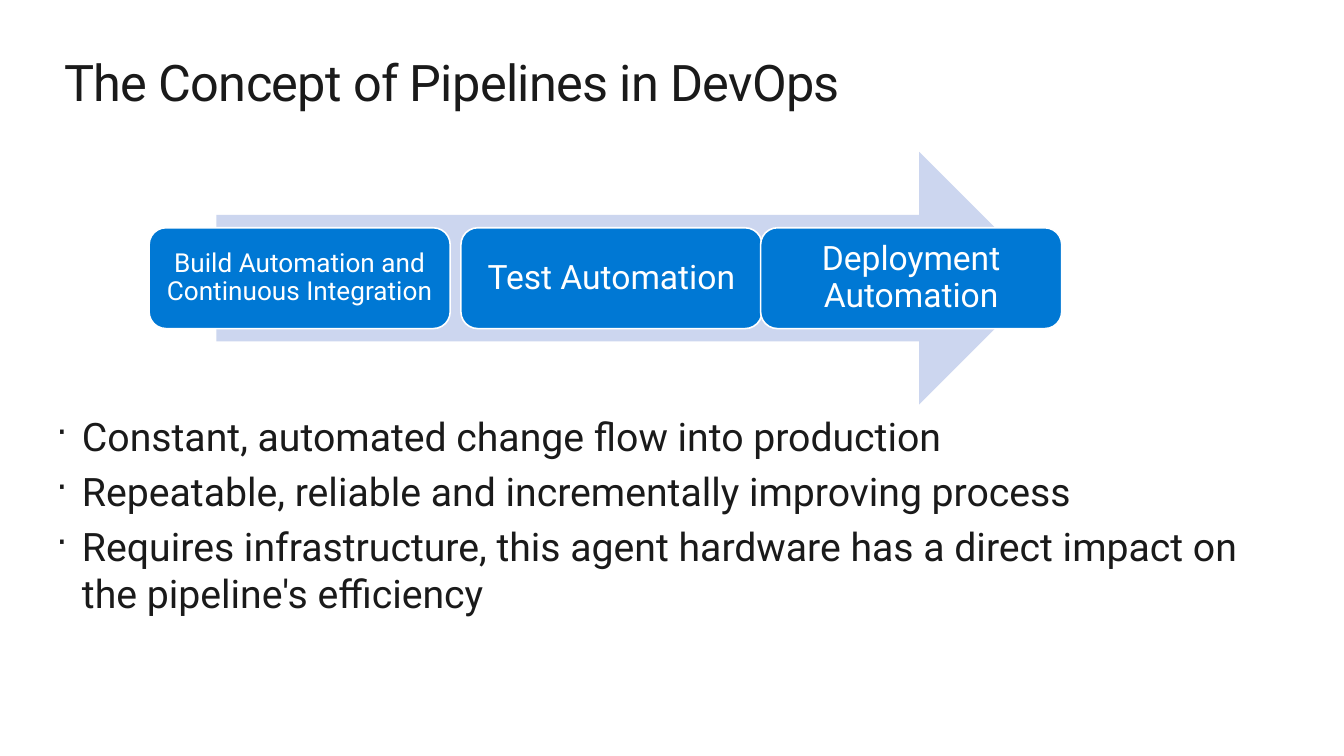
from lxml import etree
from pptx import Presentation
from pptx.dml.color import RGBColor
from pptx.enum.shapes import MSO_SHAPE as SHAPE
from pptx.enum.text import MSO_ANCHOR as ANCHOR, PP_ALIGN as ALIGN
from pptx.oxml.ns import qn
from pptx.util import Inches, Pt

COLORS = {"ink": "1A1A1A", "blue": "0078D4", "pale": "CCD6EF", "white": "FFFFFF"}
FONT = "Roboto"


def rgb(name):
    return RGBColor.from_string(COLORS[name])


def write(p, text, size, color="ink", align=ALIGN.LEFT, line=1.0, before=0, tracking=0):
    p.alignment = align
    p.line_spacing = line
    p.space_before = Pt(before)
    r = p.add_run()
    r.text = text
    r.font.name = FONT
    r.font.size = Pt(size)
    r.font.color.rgb = rgb(color)
    if tracking:
        r.font._element.set("spc", str(round(tracking * 100)))


def set_margins(tf, inset):
    tf.margin_left = tf.margin_right = Inches(inset)
    tf.margin_top = tf.margin_bottom = Inches(inset)


def add_box(s, x, y, w, h):
    tf = s.shapes.add_textbox(Inches(x), Inches(y), Inches(w), Inches(h)).text_frame
    tf.word_wrap = True
    set_margins(tf, 0)
    return tf


def add_shape(s, kind, x, y, w, h, fill):
    sp = s.shapes.add_shape(kind, Inches(x), Inches(y), Inches(w), Inches(h))
    sp.shadow.inherit = False
    sp.fill.solid()
    sp.fill.fore_color.rgb = rgb(fill)
    sp.line.fill.background()
    return sp


def add_bullet(p, indent):
    pPr = p._p.get_or_add_pPr()
    pPr.set("marL", str(Inches(indent)))
    pPr.set("indent", str(-Inches(indent)))
    etree.SubElement(pPr, qn("a:buSzPct")).set("val", "90000")
    etree.SubElement(pPr, qn("a:buChar")).set("char", "·")


def build_title(s, x, y, w, h):
    tf = add_box(s, x, y, w, h)
    write(tf.paragraphs[0], "The Concept of Pipelines in DevOps", 27, tracking=-0.37)


def build_pipeline(s, x, y, w, h):
    # Arrow behind the stages
    add_shape(s, SHAPE.RIGHT_ARROW, x + 0.5, y, w - 0.62, h, "pale")

    # Stages: offset, label, text size, inset
    stage_w, stage_h = 2.24, 0.75
    stages = [
        (0, "Build Automation and Continuous Integration", 14, 0.06),
        (2.32, "Test Automation", 18, 0.07),
        (w - stage_w, "Deployment Automation", 18, 0.07),
    ]
    for dx, label, size, inset in stages:
        sp = add_shape(s, SHAPE.ROUNDED_RECTANGLE, x + dx, y + (h - stage_h) / 2,
                       stage_w, stage_h, "blue")
        sp.line.color.rgb = rgb("white")
        sp.line.width = Pt(0.85)
        tf = sp.text_frame
        tf.word_wrap = True
        tf.vertical_anchor = ANCHOR.MIDDLE
        set_margins(tf, inset)
        write(tf.paragraphs[0], label, size, "white", ALIGN.CENTER, line=0.9)


def build_bullets(s, x, y, w, h):
    points = [
        "Constant, automated change flow into production",
        "Repeatable, reliable and incrementally improving process",
        "Requires infrastructure, this agent hardware has a direct impact on "
        "the pipeline's efficiency",
    ]
    tf = add_box(s, x, y, w, h)
    for i, point in enumerate(points):
        p = tf.add_paragraph() if i else tf.paragraphs[0]
        add_bullet(p, 0.19)
        write(p, point, 21, before=4.2 if i else 0)


def main():
    prs = Presentation()
    # Widescreen, 16:9
    prs.slide_width = Inches(10)
    prs.slide_height = prs.slide_width * 9 // 16
    s = prs.slides.add_slide(prs.slide_layouts[6])
    build_title(s, 0.48, 0.38, 9.04, 0.45)
    build_pipeline(s, 1.11, 1.13, 6.79, 1.88)
    build_bullets(s, 0.42, 3.07, 9.04, 1.56)
    prs.save("out.pptx")


if __name__ == "__main__":
    main()
